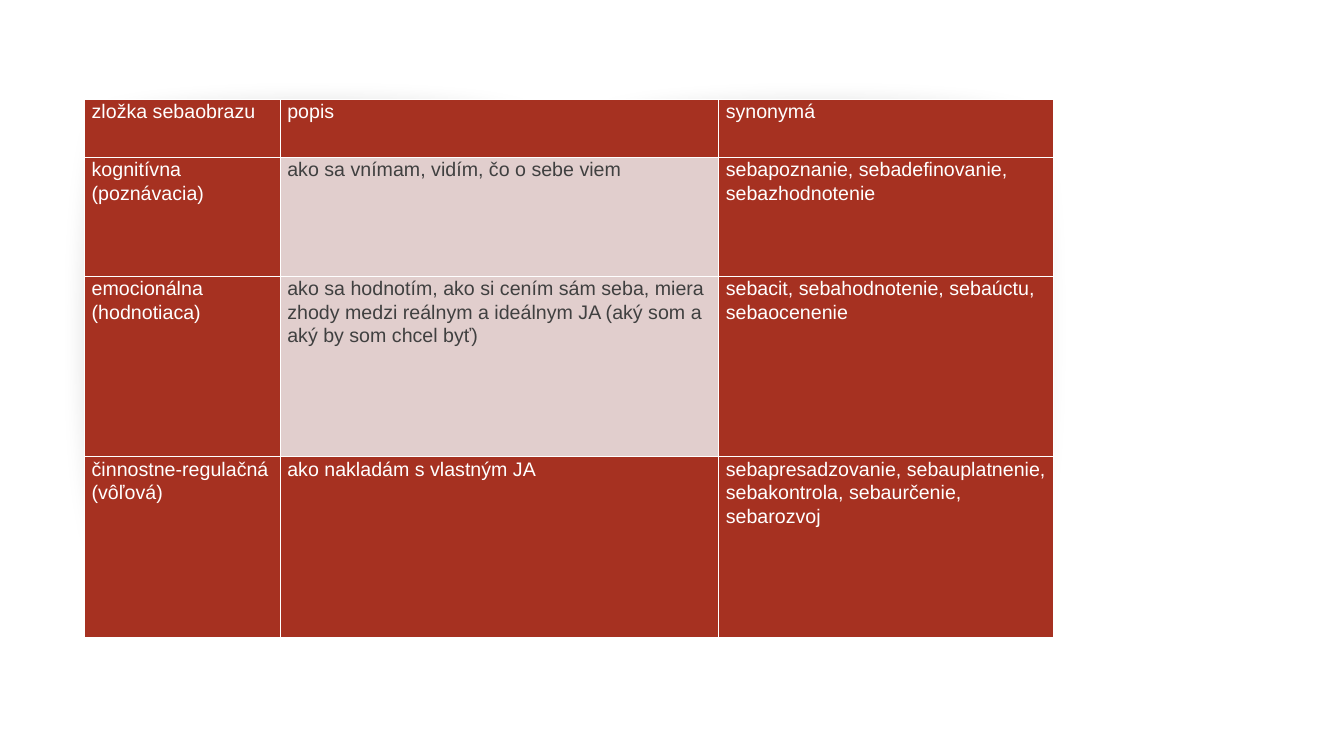
import pptx
import pptx.dml.color
import pptx.oxml
import pptx.oxml.ns
import pptx.util
from pptx.util import Cm

WHITE = pptx.dml.color.RGBColor(0xFF, 0xFF, 0xFF)
BRICK = pptx.dml.color.RGBColor(0xA6, 0x31, 0x21)
PALE_PINK = pptx.dml.color.RGBColor(0xE1, 0xCE, 0xCD)
DARK_GREY = pptx.dml.color.RGBColor(0x40, 0x40, 0x40)

COLUMN_WIDTHS = (4.93, 11.05, 8.43)
ROW_HEIGHTS = (1.45, 3, 4.55, 4.55)
PALE_CELLS = {(1, 1), (2, 1)}
ROWS = (
    ("zložka sebaobrazu", "popis", "synonymá"),
    ("kognitívna\n(poznávacia)", "ako sa vnímam, vidím, čo o sebe viem",
     "sebapoznanie, sebadefinovanie, sebazhodnotenie"),
    ("emocionálna\n(hodnotiaca)",
     "ako sa hodnotím, ako si cením sám seba, miera zhody medzi reálnym "
     "a ideálnym JA (aký som a aký by som chcel byť)",
     "sebacit, sebahodnotenie, sebaúctu, sebaocenenie"),
    ("činnostne-regulačná (vôľová)", "ako nakladám s vlastným JA",
     "sebapresadzovanie, sebauplatnenie, sebakontrola, sebaurčenie, sebarozvoj"),
)

# Bulging card outline in centimetres: two control points and an end point per side
CARD_START = (10.67, 0.58)
CARD_CURVES = (
    ((11.43, 1.14), (11.3, 10.39), (10.67, 10.87)),
    ((10.01, 11.33), (1.5, 11.4), (0.76, 10.87)),
    ((0, 10.31), (0.05, 1.09), (0.76, 0.58)),
    ((1.45, 0.05), (9.88, 0), (10.67, 0.58)),
)
CURVE_STEPS = 16
DRAWING_NAMESPACE = pptx.oxml.ns.nsdecls("a")


def curve_point(points, t):
    """Return the point at t on the cubic curve through four points."""
    weights = ((1 - t) ** 3, 3 * t * (1 - t) ** 2, 3 * t ** 2 * (1 - t), t ** 3)
    return tuple(sum(weight * point[axis] for weight, point in zip(weights, points))
                 for axis in (0, 1))


def add_card(slide, left, top):
    """Add a white card with bulging sides and a soft shadow."""
    outline = [CARD_START]
    for curve in CARD_CURVES:
        points = (outline[-1], *curve)
        outline += [curve_point(points, step / CURVE_STEPS)
                    for step in range(1, CURVE_STEPS + 1)]
    vertices = [(left + Cm(x), top + Cm(y)) for x, y in outline]
    builder = slide.shapes.build_freeform(*vertices[0])
    builder.add_line_segments(vertices[1:], close=True)
    card = builder.convert_to_shape()
    card.fill.solid()
    card.fill.fore_color.rgb = WHITE
    card.line.fill.background()
    card.shadow.inherit = False
    effects = card.element.spPr.find(pptx.oxml.ns.qn("a:effectLst"))
    effects.append(pptx.oxml.parse_xml(
        f'<a:outerShdw {DRAWING_NAMESPACE} blurRad="{pptx.util.Pt(25)}" '
        f'dist="{pptx.util.Pt(5)}" dir="2700000" algn="tl" rotWithShape="0">'
        '<a:srgbClr val="000000"><a:alpha val="30000"/></a:srgbClr></a:outerShdw>'))


def add_borders(cell):
    properties = cell._tc.get_or_add_tcPr()
    for side in ("lnL", "lnR", "lnT", "lnB"):
        properties.append(pptx.oxml.parse_xml(
            f'<a:{side} {DRAWING_NAMESPACE} w="{pptx.util.Pt(1)}">'
            f'<a:solidFill><a:srgbClr val="{WHITE}"/></a:solidFill></a:{side}>'))


def fill_cell(cell, text, fill_color, font_color):
    add_borders(cell)
    cell.fill.solid()
    cell.fill.fore_color.rgb = fill_color
    cell.margin_left = cell.margin_right = Cm(0.18)
    cell.margin_top = cell.margin_bottom = 0
    cell.text = text
    for paragraph in cell.text_frame.paragraphs:
        paragraph.line_spacing = 1.07
        paragraph.font.name = "Arial"
        paragraph.font.size = pptx.util.Pt(14)
        paragraph.font.bold = False
        paragraph.font.color.rgb = font_color


def add_self_image_table(slide, left, top):
    table = slide.shapes.add_table(
        len(ROWS), len(COLUMN_WIDTHS), left, top,
        Cm(sum(COLUMN_WIDTHS)), Cm(sum(ROW_HEIGHTS))).table
    for column, width in zip(table.columns, COLUMN_WIDTHS):
        column.width = Cm(width)
    for row, height in zip(table.rows, ROW_HEIGHTS):
        row.height = Cm(height)
    for row_index, texts in enumerate(ROWS):
        for column_index, text in enumerate(texts):
            pale = (row_index, column_index) in PALE_CELLS
            fill_cell(table.cell(row_index, column_index), text,
                      PALE_PINK if pale else BRICK,
                      DARK_GREY if pale else WHITE)


def main():
    presentation = pptx.Presentation()
    presentation.slide_width = Cm(33.87)
    presentation.slide_height = Cm(19.05)
    slide = presentation.slides.add_slide(presentation.slide_layouts[6])
    for left in (2.11, 14.73):
        add_card(slide, Cm(left), Cm(2.59))
    add_self_image_table(slide, Cm(2.13), Cm(2.51))
    presentation.save("out.pptx")


if __name__ == "__main__":
    main()
